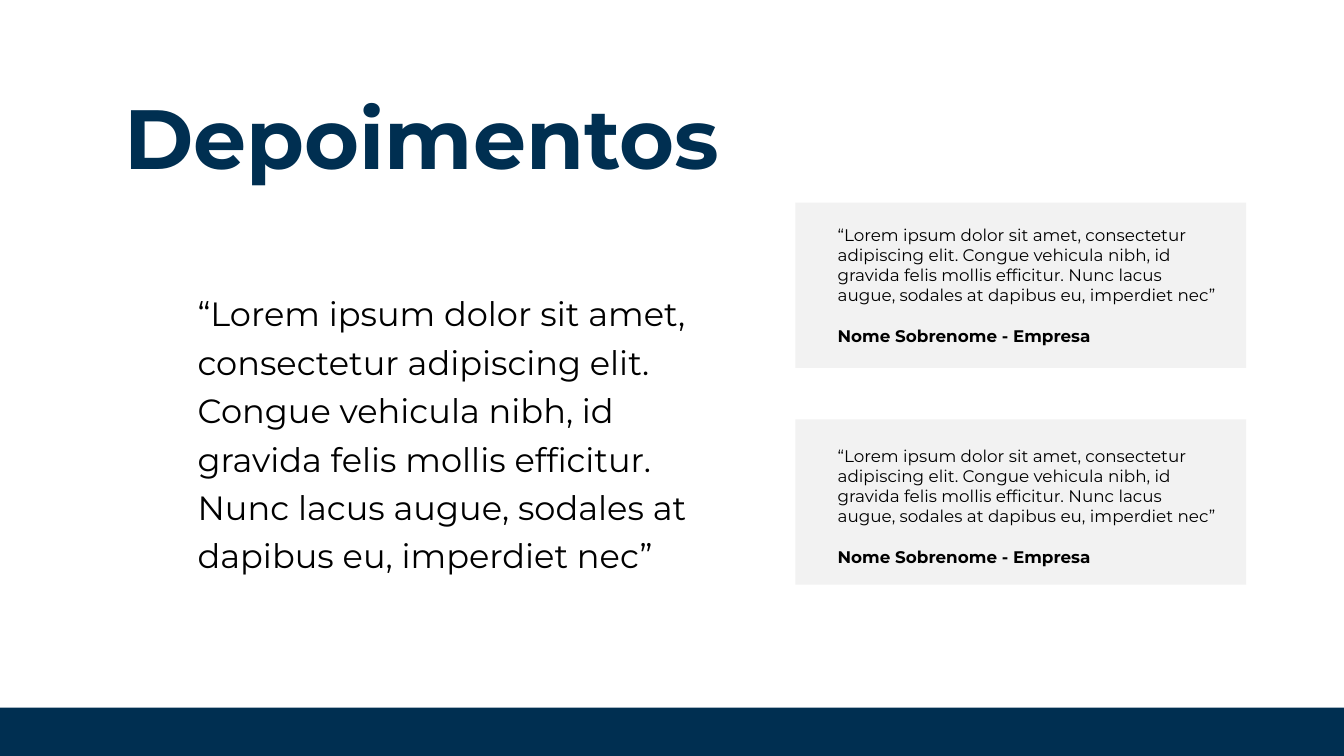
import dataclasses

import pptx
import pptx.dml.color
import pptx.enum.shapes
import pptx.enum.text
import pptx.util
from pptx.util import Inches


@dataclasses.dataclass(frozen=True)
class Theme:
    """Hold the colours, font and type sizes."""
    navy: str = "002F51"
    grey: str = "F2F2F2"
    black: str = "000000"
    font: str = "Montserrat"
    head: int = 60
    lead: int = 24
    small: int = 12


THEME = Theme()
QUOTE = ("“Lorem ipsum dolor sit amet, consectetur adipiscing elit. "
         "Congue vehicula nibh, id gravida felis mollis efficitur. "
         "Nunc lacus augue, sodales at dapibus eu, imperdiet nec”")
AUTHOR = "Nome Sobrenome - Empresa"
CARDS = [(2.01, 2.18), (4.16, 4.37)]


def color(code):
    """Return an RGB colour."""
    return pptx.dml.color.RGBColor.from_string(code)


def place(shape, left, top, width, height):
    """Move and size a shape."""
    shape.left, shape.top = Inches(left), Inches(top)
    shape.width, shape.height = Inches(width), Inches(height)


def setup(frame):
    """Make a text frame wrap from its top at a fixed size."""
    frame.word_wrap = True
    frame.auto_size = pptx.enum.text.MSO_AUTO_SIZE.NONE
    frame.vertical_anchor = pptx.enum.text.MSO_ANCHOR.TOP


def style(para, size, code, bold=False):
    """Format the runs of a left-aligned paragraph."""
    para.alignment = pptx.enum.text.PP_ALIGN.LEFT
    para.space_before = pptx.util.Pt(0)
    for run in para.runs:
        run.font.name = THEME.font
        run.font.size = pptx.util.Pt(size)
        run.font.bold = bold
        run.font.color.rgb = color(code)


def plain(para):
    """Remove the bullet and indent of a paragraph."""
    props = para._p.get_or_add_pPr()
    props.set("marL", "0")
    props.set("indent", "0")
    props.append(pptx.oxml.parse_xml(
        '<a:buNone xmlns:a='
        '"http://schemas.openxmlformats.org/drawingml/2006/main"/>'))


def holder(shape, text, box, size, code, space, bold=False):
    """Fill a placeholder with one paragraph."""
    place(shape, *box)
    frame = shape.text_frame
    setup(frame)
    frame.text = text
    para = frame.paragraphs[0]
    plain(para)
    style(para, size, code, bold)
    para.line_spacing = space


def block(slide, box, code):
    """Add a plain filled rectangle."""
    shape = slide.shapes.add_shape(
        pptx.enum.shapes.MSO_SHAPE.RECTANGLE, *map(Inches, box))
    shape.shadow.inherit = False
    shape.fill.solid()
    shape.fill.fore_color.rgb = color(code)
    shape.line.fill.background()


def review(slide, top):
    """Add a short quote with its author below."""
    box = slide.shapes.add_textbox(*map(Inches, (8.21, top, 4.03, 1.28)))
    frame = box.text_frame
    setup(frame)
    frame.text = QUOTE
    style(frame.paragraphs[0], THEME.small, THEME.black)
    name = frame.add_paragraph()
    name.text = AUTHOR
    style(name, THEME.small, THEME.black, True)
    name.space_before = pptx.util.Pt(14.6)


def main():
    """Build and save the slide."""
    deck = pptx.Presentation()
    deck.slide_width, deck.slide_height = Inches(13.33), Inches(7.5)
    slide = deck.slides.add_slide(deck.slide_layouts[1])
    holder(slide.shapes.title, "Depoimentos", (1.13, 0.83, 7.27, 1.08),
           THEME.head, THEME.navy, pptx.util.Pt(70), True)
    holder(slide.placeholders[1], QUOTE, (1.86, 2.78, 5.07, 2.49),
           THEME.lead, THEME.black, 1.2)
    block(slide, (0, 7.02, 13.33, 0.48), THEME.navy)
    for top, start in CARDS:
        block(slide, (7.89, top, 4.47, 1.64), THEME.grey)
        review(slide, start)
    deck.save("out.pptx")


if __name__ == "__main__":
    main()
